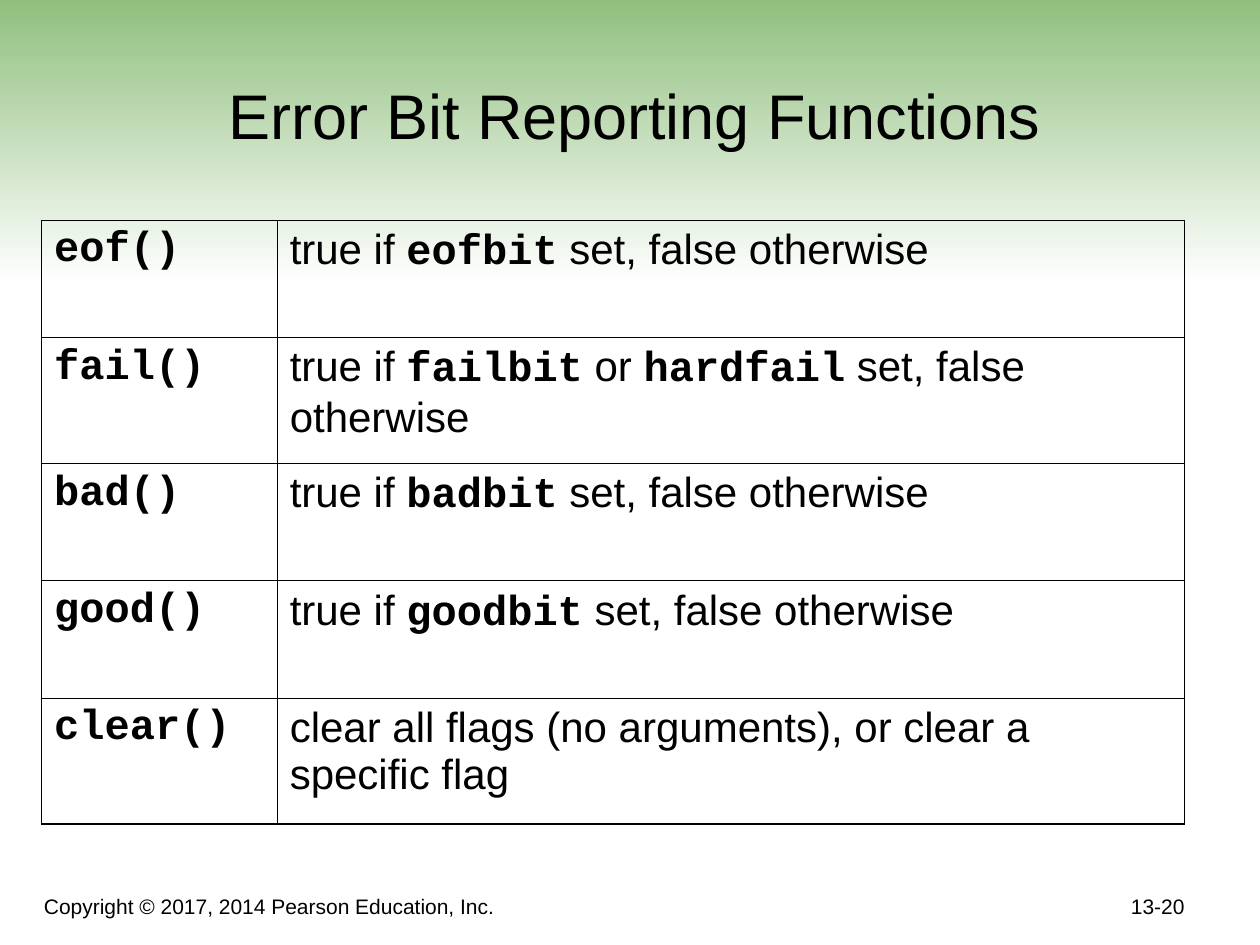
import pptx
import pptx.util
import pptx.dml.color
import pptx.enum.shapes
import pptx.enum.text
import pptx.oxml
import pptx.oxml.ns

Inches = pptx.util.Inches
Pt = pptx.util.Pt
Align = pptx.enum.text.PP_ALIGN
Anchor = pptx.enum.text.MSO_ANCHOR

BLACK = pptx.dml.color.RGBColor(0x00, 0x00, 0x00)
WHITE = pptx.dml.color.RGBColor(0xFF, 0xFF, 0xFF)
GREEN = pptx.dml.color.RGBColor(0x8C, 0xBD, 0x79)
THICK, THIN = Pt(1.08), Pt(0.45)


def add_run(paragraph, text, size, font_name="Arial", bold=False):
    run = paragraph.add_run()
    run.text = text
    run.font.name = font_name
    run.font.size = Pt(size)
    run.font.bold = bold
    run.font.color.rgb = BLACK


def set_borders(cell, widths):
    properties = cell._tc.get_or_add_tcPr()
    for position, (side, width) in enumerate(zip("LRTB", widths)):
        line = pptx.oxml.parse_xml(
            f'<a:ln{side} {pptx.oxml.ns.nsdecls("a")} w="{int(width)}">'
            f'<a:solidFill><a:srgbClr val="{BLACK}"/></a:solidFill></a:ln{side}>'
        )
        properties.insert(position, line)


presentation = pptx.Presentation()
presentation.slide_width = Inches(10)
presentation.slide_height = Inches(7.5)
slide = presentation.slides.add_slide(presentation.slide_layouts[5])

band = slide.shapes.add_shape(
    pptx.enum.shapes.MSO_SHAPE.RECTANGLE, 0, Inches(-0.08), Inches(10), Inches(2.33)
)
band.shadow.inherit = False
band.line.fill.background()
band.fill.gradient()
band.fill.gradient_angle = 270
for stop, color in zip(band.fill.gradient_stops, (GREEN, WHITE)):
    stop.color.rgb = color
slide.shapes._spTree.insert(2, band._element)

title = slide.shapes.title
title.left, title.top = Inches(0.33), Inches(0.17)
title.width, title.height = Inches(9.42), Inches(1.09)
title.text_frame.auto_size = pptx.enum.text.MSO_AUTO_SIZE.NONE
title.text_frame.vertical_anchor = Anchor.BOTTOM
title_paragraph = title.text_frame.paragraphs[0]
title_paragraph.alignment = Align.CENTER
add_run(title_paragraph, "Error Bit Reporting Functions", 36)

functions = [
    ("eof()", ["true if ", "eofbit", " set, false otherwise"]),
    ("fail()", ["true if ", "failbit", " or ", "hardfail", " set, false otherwise"]),
    ("bad()", ["true if ", "badbit", " set, false otherwise"]),
    ("good()", ["true if ", "goodbit", " set, false otherwise"]),
    ("clear()", ["clear all flags (no arguments), or clear a specific flag"]),
]
row_heights = [0.93, 1, 0.93, 0.93, 1]
last_row = len(functions) - 1

table = slide.shapes.add_table(
    len(functions), 2, Inches(0.33), Inches(1.75), Inches(9.07), Inches(4.77)
).table
table.first_row = False
table.horz_banding = False
table.columns[0].width = Inches(1.87)
table.columns[1].width = Inches(7.2)

for row, (name, description) in enumerate(functions):
    table.rows[row].height = Inches(row_heights[row])
    name_cell, description_cell = table.cell(row, 0), table.cell(row, 1)
    add_run(name_cell.text_frame.paragraphs[0], name, 24, "Courier New", True)
    for index, part in enumerate(description):
        is_code = index % 2 == 1
        add_run(
            description_cell.text_frame.paragraphs[0],
            part, 24, "Courier New" if is_code else "Arial", is_code,
        )
    top = THICK if row == 0 else THIN
    bottom = THICK if row == last_row else THIN
    for cell, left, right in ((name_cell, THICK, THIN), (description_cell, THIN, THICK)):
        cell.fill.background()
        set_borders(cell, (left, right, top, bottom))

footers = [
    ("Copyright © 2017, 2014 Pearson Education, Inc.", 0.25, 6.92, 6.75, 0.42, Align.LEFT),
    ("13-20", 7.42, 6.84, 2.08, 0.5, Align.RIGHT),
]
for text, left, top, width, height, alignment in footers:
    box = slide.shapes.add_textbox(Inches(left), Inches(top), Inches(width), Inches(height))
    box.text_frame.word_wrap = True
    box.text_frame.vertical_anchor = Anchor.BOTTOM
    paragraph = box.text_frame.paragraphs[0]
    paragraph.alignment = alignment
    add_run(paragraph, text, 12)

presentation.save("out.pptx")
